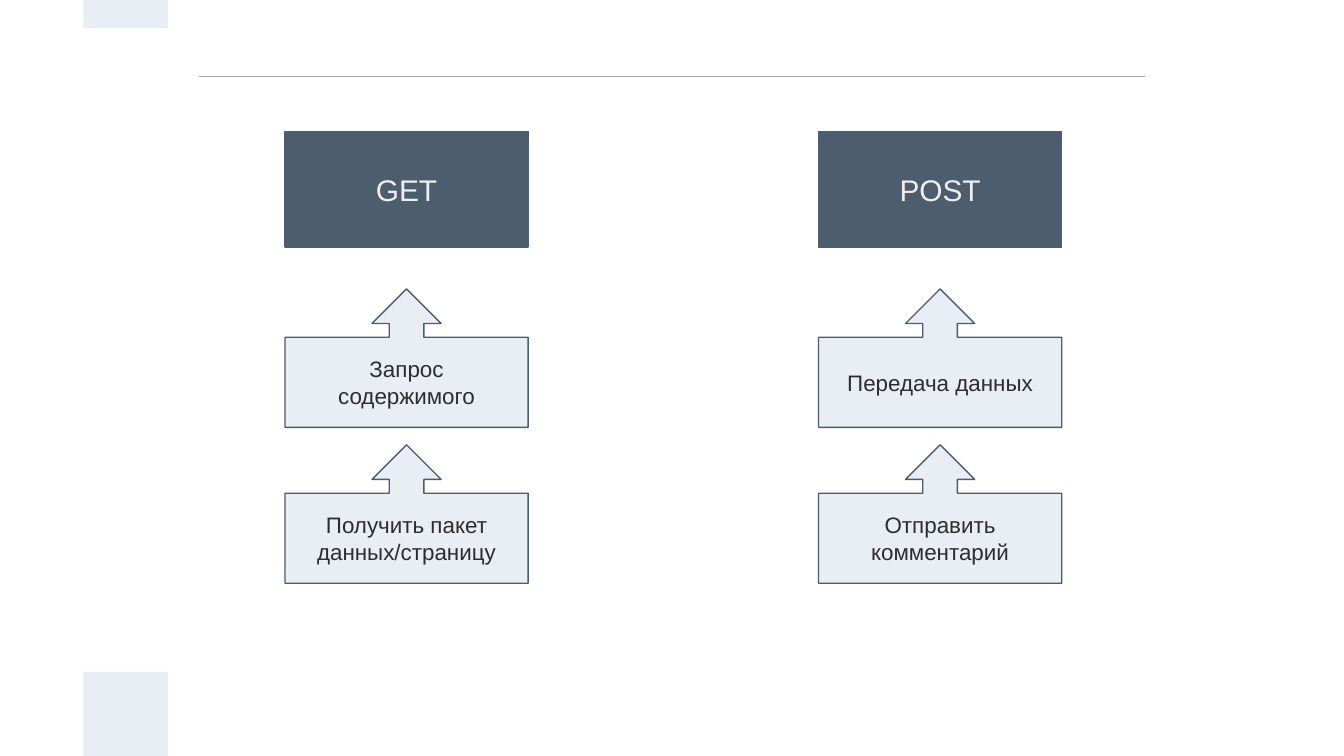
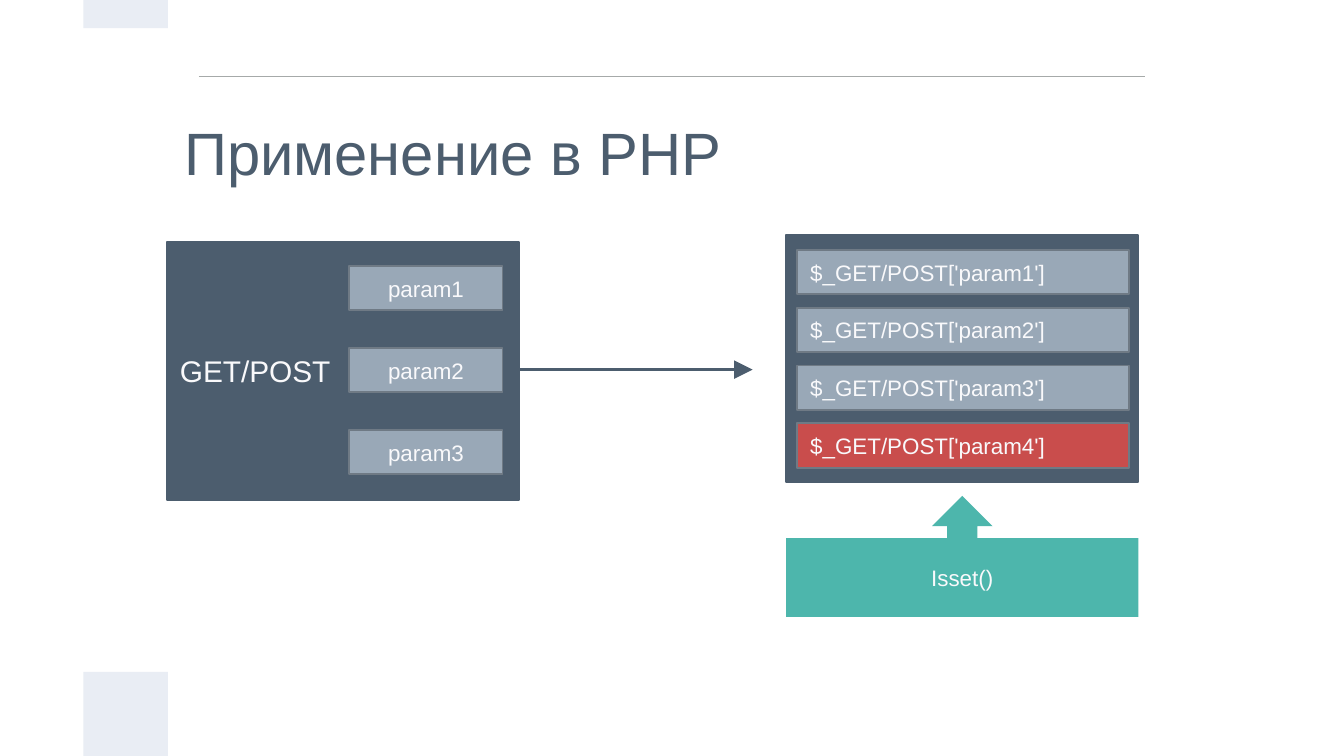
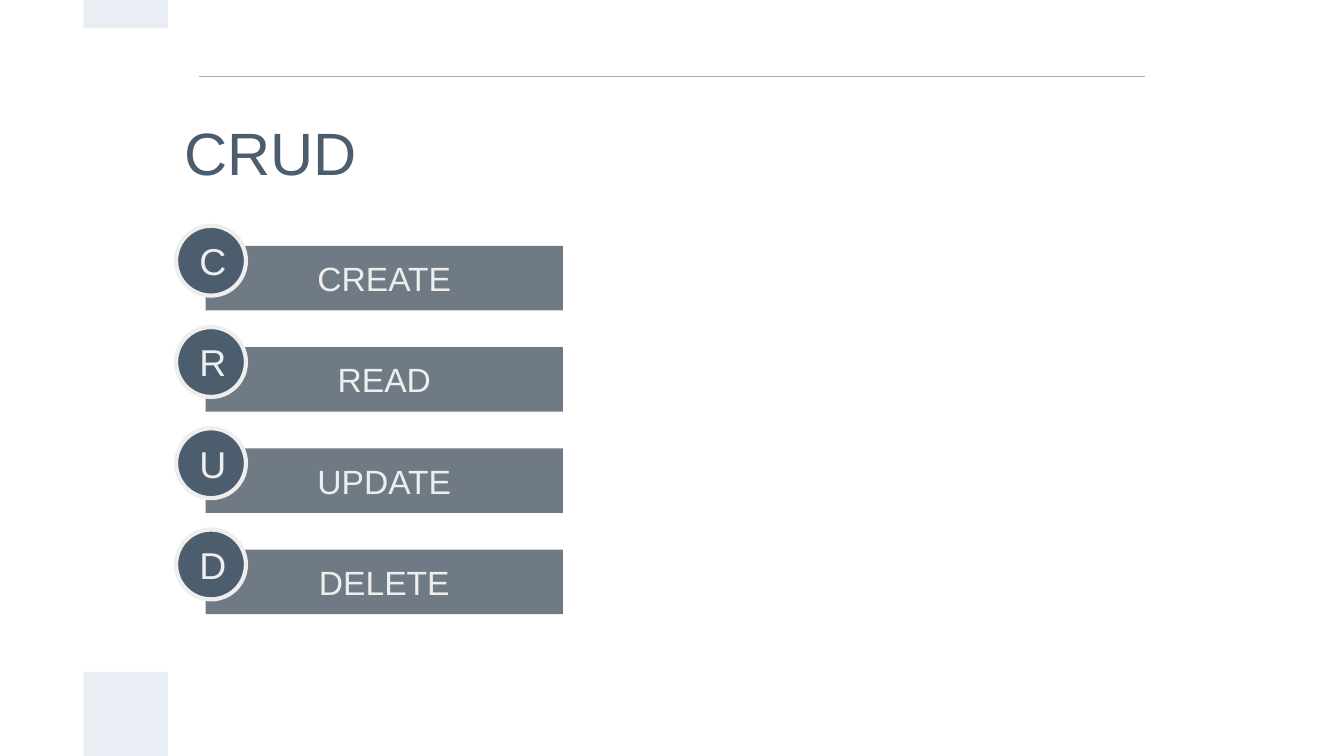
from dataclasses import dataclass

from pptx import Presentation
from pptx import util as u
from pptx.dml.color import RGBColor
from pptx.enum import shapes as es, text as et
from pptx.oxml.ns import qn
from lxml import etree


@dataclass(frozen=True)
class Theme:
    font: str = "Arial"
    slate: str = "4C5D6E"
    grey: str = "6F7A85"
    steel: str = "99A8B7"
    pale: str = "E9EDF4"
    rule: str = "A6AAA9"
    red: str = "C94D4C"
    teal: str = "4DB6AC"
    ink: str = "2C2D30"
    light: str = "EEEEEE"
    white: str = "F9F9FB"
    title: int = 32
    letter: int = 20
    bar: int = 18
    head: int = 16
    label: int = 12


T = Theme()
RECT = es.MSO_SHAPE.RECTANGLE
CALLOUT = es.MSO_SHAPE.UP_ARROW_CALLOUT
OVAL = es.MSO_SHAPE.OVAL
LEFT, CENTER = et.PP_ALIGN.LEFT, et.PP_ALIGN.CENTER
TITLE_ONLY, BLANK = 5, 6
WIDTH = u.Inches(10)
HEIGHT = WIDTH * 9 // 16


def set_attrs(obj, values):
    for name, value in values.items():
        setattr(obj, name, value)


def inches(*lengths):
    return [u.Inches(n) for n in lengths]


def set_text(tf, words, size, color, align, pad_x=0.1, pad_y=0.1):
    set_attrs(tf, {
        "text": words, "word_wrap": True, "auto_size": et.MSO_AUTO_SIZE.NONE,
        "vertical_anchor": et.MSO_ANCHOR.MIDDLE,
        "margin_left": u.Inches(pad_x), "margin_right": u.Inches(pad_x),
        "margin_top": u.Inches(pad_y), "margin_bottom": u.Inches(pad_y),
    })
    p = tf.paragraphs[0]
    p.alignment = align
    font = p.runs[0].font
    set_attrs(font, {"name": T.font, "size": u.Pt(size)})
    font.color.rgb = RGBColor.from_string(color)


def add_box(shapes, kind, box, fill, line=None, width=0.75):
    sp = shapes.add_shape(kind, *inches(*box))
    sp.shadow.inherit = False
    sp.fill.solid()
    sp.fill.fore_color.rgb = RGBColor.from_string(fill)
    if line:
        sp.line.color.rgb = RGBColor.from_string(line)
        sp.line.width = u.Pt(width)
    else:
        sp.line.fill.background()
    if kind == CALLOUT:
        for i, value in enumerate((0.25, 0.25, 0.25, 0.65)):
            sp.adjustments[i] = value
    return sp


def add_line(shapes, start, end, color, width, arrow=False):
    cx = shapes.add_connector(es.MSO_CONNECTOR.STRAIGHT, *inches(*start, *end))
    cx.line.color.rgb = RGBColor.from_string(color)
    cx.line.width = u.Pt(width)
    if arrow:
        ln = cx.line._get_or_add_ln()
        etree.SubElement(ln, qn("a:tailEnd"), type="triangle", w="lg", len="lg")
    etree.SubElement(cx.element.spPr, qn("a:effectLst"))
    return cx


def add_frame(prs, s):
    """Draw the rule and the two side bands, then move them to the master."""
    frame = [
        add_line(s.shapes, (1.48, 0.57), (8.52, 0.57), T.rule, 0.75),
        add_box(s.shapes, RECT, (0.62, 5, 0.63, 0.63), T.pale),
        add_box(s.shapes, RECT, (0.62, 0, 0.63, 0.21), T.pale),
    ]
    tree = prs.slide_master.element.cSld.spTree
    for number, sp in enumerate(frame, start=101):
        sp.element.xpath(".//p:cNvPr")[0].set("id", str(number))
        tree.append(sp.element)


def add_slide(prs, title=None):
    s = prs.slides.add_slide(prs.slide_layouts[TITLE_ONLY if title else BLANK])
    if title:
        sp = s.shapes.title
        set_attrs(sp, dict(zip(("left", "top", "width", "height"),
                               inches(1.24, 0.63, 7.5, 1))))
        set_text(sp.text_frame, title, T.title, T.slate, LEFT, 0.13, 0.13)
    return s


def add_method_column(s, left, method, notes):
    group = s.shapes.add_group_shape().shapes
    head = add_box(group, RECT, (left, 0.98, 1.81, 0.86), T.slate, T.slate)
    set_text(head.text_frame, method, T.head, T.light, CENTER)
    for i, note in enumerate(notes):
        sp = add_box(group, CALLOUT, (left, 2.15 + 1.16 * i, 1.81, 1.03),
                     T.pale, T.slate)
        set_text(sp.text_frame, note, T.label, T.ink, CENTER)


def add_chip(s, box, words, align, fill=T.steel):
    sp = add_box(s.shapes, RECT, box, fill, T.grey, 1)
    set_text(sp.text_frame, words, T.label, T.white, align, pad_y=0.05)


def add_request(s):
    panel = add_box(s.shapes, RECT, (1.24, 1.8, 2.62, 1.92), T.slate, T.slate, 1)
    set_text(panel.text_frame, "GET/POST", T.head, T.white, LEFT, pad_y=0.05)
    for i in range(3):
        add_chip(s, (2.6, 1.98 + 0.61 * i, 1.14, 0.33), f"param{i + 1}", CENTER)


def add_php_array(s):
    add_box(s.shapes, RECT, (5.85, 1.75, 2.62, 1.84), T.slate, T.slate, 1)
    for i, fill in enumerate((T.steel, T.steel, T.steel, T.red)):
        add_chip(s, (5.93, 1.86 + 0.43 * i, 2.47, 0.33),
                 f"$_GET/POST['param{i + 1}']", LEFT, fill)
    check = add_box(s.shapes, CALLOUT, (5.85, 3.69, 2.62, 0.9), T.teal)
    set_text(check.text_frame, "Isset()", T.label, T.white, CENTER, pad_y=0.05)


def add_operation(s, top, name):
    """Add a bar with the operation's initial in a circle at its corner."""
    group = s.shapes.add_group_shape().shapes
    bar = add_box(group, RECT, (1.53, top, 2.66, 0.48), T.grey)
    set_text(bar.text_frame, name, T.bar, T.light, CENTER)
    badge = add_box(group, OVAL, (1.31, top - 0.15, 0.52, 0.52),
                    T.slate, T.light, 2.25)
    set_text(badge.text_frame, name[0], T.letter, T.light, LEFT)


def main():
    prs = Presentation()
    set_attrs(prs, {"slide_width": WIDTH, "slide_height": HEIGHT})

    s = add_slide(prs)
    add_frame(prs, s)
    add_method_column(s, 2.12, "GET",
                      ("Запрос содержимого", "Получить пакет данных/страницу"))
    add_method_column(s, 6.09, "POST",
                      ("Передача данных", "Отправить комментарий"))

    s = add_slide(prs, "Применение в PHP")
    add_request(s)
    add_php_array(s)
    add_line(s.shapes, (3.86, 2.75), (5.6, 2.75), T.slate, 1.5, arrow=True)

    s = add_slide(prs, "CRUD")
    first, last = 1.83, 4.09
    operations = ("CREATE", "READ", "UPDATE", "DELETE")
    pitch = (last - first) / (len(operations) - 1)
    for i, name in enumerate(operations):
        add_operation(s, first + pitch * i, name)

    prs.save("out.pptx")


if __name__ == "__main__":
    main()
